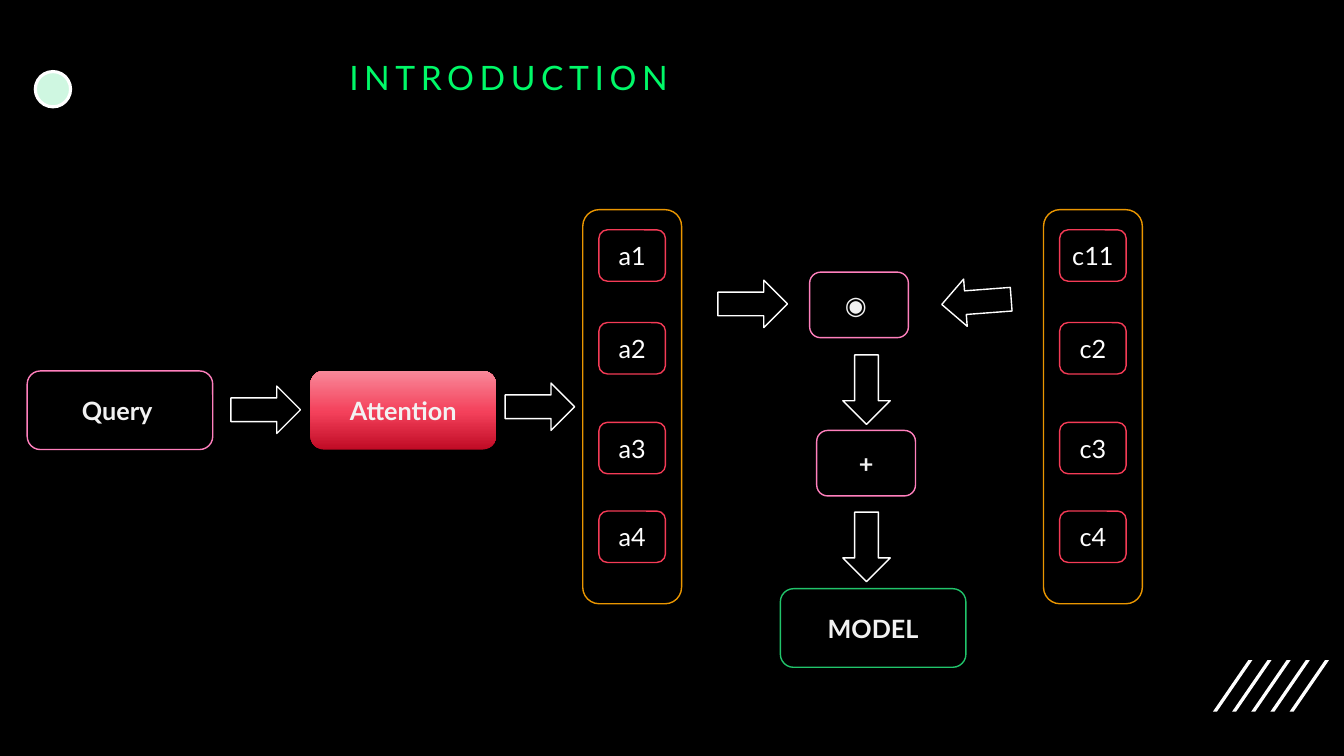
from copy import deepcopy

from pptx import Presentation
from pptx.dml.color import RGBColor
from pptx.enum import shapes, text
from pptx.oxml.ns import qn
from pptx.util import Inches, Pt

FONT = "Lato"
COLORS = {
    "black": "000000", "white": "FFFFFF", "label": "F2F2F2", "title": "00F968",
    "pink": "FF80BD", "red": "F43B56", "orange": "EA9600", "green": "21C46B",
    "mint": "CFF7E1", "dark_red": "C00B25", "mid_red": "F4415B", "light_red": "F8899A",
}
TITLE = "INTRODUCTION"
LARGE, SMALL = (1.84, 0.78), (0.98, 0.65)
STEPS = [
    ("Query ", 0.27, 3.68, LARGE, "pink"),
    ("Attention", 3.08, 3.68, LARGE, None),
    ("◉ ", 8.03, 2.7, SMALL, "pink"),
    ("+", 8.1, 4.27, SMALL, "pink"),
    ("MODEL", 7.74, 5.84, LARGE, "green"),
]
ATTENTION_GRADIENT = [(0, "dark_red"), (0.48, "mid_red"), (1, "light_red")]
VECTORS = [
    (5.78, ["a1", "a2", "a3", "a4"]),
    (10.35, ["c11", "c2", "c3", "c4"]),
]
VECTOR_TOP, VECTOR_SIZE = 2.08, (0.98, 3.91)
CELL_TOPS, CELL_SIZE = [2.28, 3.2, 4.19, 5.07], (0.66, 0.51)
ARROW_SIZE = (0.47, 0.69)
ARROWS = [
    (2.4, 3.72, 270), (5.12, 3.69, 270), (7.23, 2.67, 270),
    (9.45, 2.65, 85.7), (8.36, 3.52, 0), (8.36, 5.08, 0),
]
STRIPE_COUNT, STRIPE_LEFT, STRIPE_TOP, STRIPE_PITCH = 5, 12.03, 6.55, 0.19
STRIPE_OUTLINE = [(0.04, 0.51), (0, 0.51), (0.35, 0), (0.39, 0)]


def rgb(name):
    return RGBColor.from_string(COLORS[name])


def paint(shape, fill, line=None, width=1):
    shape.shadow.inherit = False
    shape.fill.solid()
    shape.fill.fore_color.rgb = rgb(fill)
    if line:
        shape.line.color.rgb = rgb(line)
        shape.line.width = Pt(width)
    else:
        shape.line.fill.background()


def add_shape(page, kind, left, top, size, fill="black", line=None, width=1):
    shape = page.shapes.add_shape(kind, *map(Inches, (left, top, *size)))
    paint(shape, fill, line, width)
    return shape


def write(shape, words, size, color, bold=False):
    para = shape.text_frame.paragraphs[0]
    para.text = words
    para.alignment = text.PP_ALIGN.CENTER
    para.font.name = FONT
    para.font.size = Pt(size)
    para.font.bold = bold
    para.font.color.rgb = rgb(color)
    return para


def add_box(page, words, left, top, size, line, color, bold):
    box = add_shape(page, shapes.MSO_SHAPE.ROUNDED_RECTANGLE, left, top, size, line=line)
    box.text_frame.vertical_anchor = text.MSO_ANCHOR.MIDDLE
    write(box, words, 18, color, bold)
    return box


def add_gradient(shape, stops):
    shape.fill.gradient()
    shape.fill.gradient_angle = 90
    stop_list = shape._element.spPr.find(qn("a:gradFill")).find(qn("a:gsLst"))
    stop_list.append(deepcopy(stop_list[-1]))
    for stop, (position, color) in zip(shape.fill.gradient_stops, stops):
        stop.position = position
        stop.color.rgb = rgb(color)


def add_title(page):
    title = page.shapes.title
    title.left, title.top, title.width, title.height = map(Inches, (1.08, 0.56, 7.93, 0.89))
    title.text_frame.auto_size = text.MSO_AUTO_SIZE.NONE
    title.text_frame.vertical_anchor = text.MSO_ANCHOR.TOP
    para = write(title, TITLE, 24, "title")
    para.line_spacing = 0.9
    para.runs[0]._r.get_or_add_rPr().set("spc", "400")


def add_decoration(page):
    for index in range(STRIPE_COUNT):
        left = STRIPE_LEFT + index * STRIPE_PITCH
        points = [(Inches(left + x), Inches(STRIPE_TOP + y)) for x, y in STRIPE_OUTLINE]
        builder = page.shapes.build_freeform(*points[0])
        builder.add_line_segments(points[1:], close=True)
        paint(builder.convert_to_shape(), "white")
    add_shape(page, shapes.MSO_SHAPE.OVAL, 0.35, 0.71, (0.35, 0.35), "mint", "white", 2.25)


def add_diagram(page):
    for words, left, top, size, line in STEPS:
        box = add_box(page, words, left, top, size, line, "label", True)
        if words == "Attention":
            add_gradient(box, ATTENTION_GRADIENT)
    for left, labels in VECTORS:
        add_shape(page, shapes.MSO_SHAPE.ROUNDED_RECTANGLE, left, VECTOR_TOP,
                  VECTOR_SIZE, line="orange")
        cell_left = left + (VECTOR_SIZE[0] - CELL_SIZE[0]) / 2
        for label, top in zip(labels, CELL_TOPS):
            add_box(page, label, cell_left, top, CELL_SIZE, "red", "white", False)
    for left, top, angle in ARROWS:
        arrow = add_shape(page, shapes.MSO_SHAPE.DOWN_ARROW, left, top, ARROW_SIZE, line="white")
        arrow.rotation = angle


def main():
    deck = Presentation()
    deck.slide_width, deck.slide_height = Inches(13.33), Inches(7.5)
    page = deck.slides.add_slide(deck.slide_layouts[5])
    page.background.fill.solid()
    page.background.fill.fore_color.rgb = rgb("black")
    add_title(page)
    add_decoration(page)
    add_diagram(page)
    deck.save("out.pptx")


if __name__ == "__main__":
    main()
